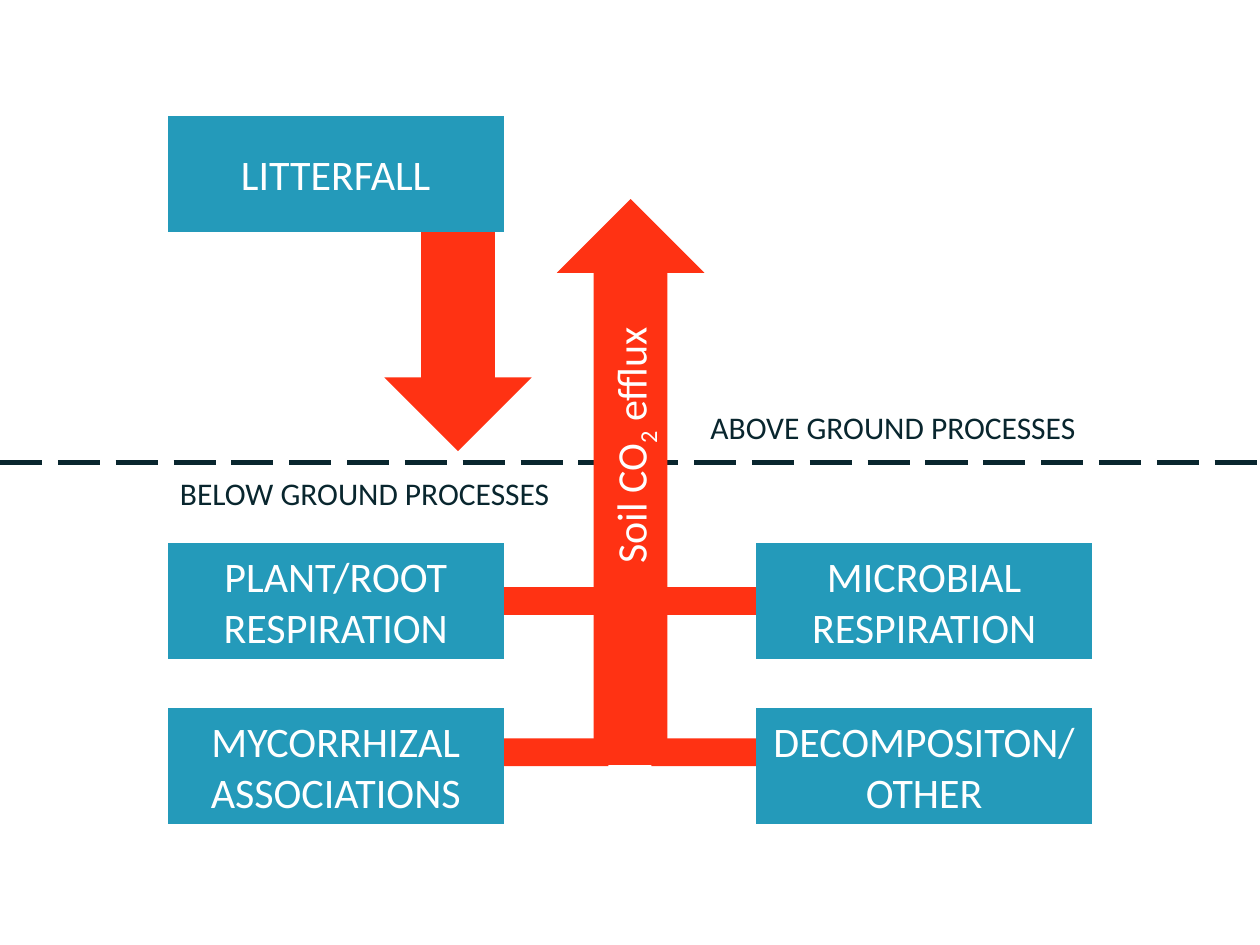
"""Build a slide on the processes behind soil CO2 efflux."""
from lxml import etree
from pptx import Presentation
from pptx.dml import color as dml_color
from pptx.enum import dml, shapes, text
from pptx.oxml import ns
from pptx.util import Inches, Pt

COLORS = {"ground": "09262E", "flow": "FF3213", "process": "249ABA", "light": "FFFFFF"}
KINDS = shapes.MSO_SHAPE
BOX_WIDTH, BOX_HEIGHT = 2.67, 0.92
LEFT_COLUMN, RIGHT_COLUMN = 1.33, 6
UPPER_ROW, LOWER_ROW = 4.31, 5.62
BAR_HEIGHT = 0.22


def rgb(name):
    return dml_color.RGBColor.from_string(COLORS[name])


def apply_format(target, values):
    for name, value in values.items():
        setattr(target, name, value)


def add_runs(paragraph, parts, size, color):
    for wording, baseline in parts:
        run = paragraph.add_run()
        run.text = wording
        apply_format(run.font, {"name": "Calibri", "size": Pt(size)})
        run.font.color.rgb = rgb(color)
        if baseline:
            run._r.get_or_add_rPr().set("baseline", str(baseline * 1000))


def add_block(slide, kind, color, left, top, width, height, rotation=0):
    shape = slide.shapes.add_shape(
        kind, Inches(left), Inches(top), Inches(width), Inches(height))
    shape.rotation = rotation
    shape.shadow.inherit = False
    shape.fill.solid()
    shape.fill.fore_color.rgb = rgb(color)
    shape.line.fill.background()
    return shape


def add_process(slide, wording, left, top):
    shape = add_block(slide, KINDS.FLOWCHART_PROCESS, "process",
                      left, top, BOX_WIDTH, BOX_HEIGHT)
    frame = shape.text_frame
    apply_format(frame, {"word_wrap": True, "vertical_anchor": text.MSO_ANCHOR.MIDDLE})
    for index, line in enumerate(wording.split("\n")):
        paragraph = frame.add_paragraph() if index else frame.paragraphs[0]
        paragraph.alignment = text.PP_ALIGN.CENTER
        add_runs(paragraph, [(line, 0)], 24, "light")


def add_label(slide, parts, size, color, left, top, width, height, rotation=0):
    box = slide.shapes.add_textbox(
        Inches(left), Inches(top), Inches(width), Inches(height))
    box.rotation = rotation
    apply_format(box.text_frame, {
        "word_wrap": False, "auto_size": text.MSO_AUTO_SIZE.SHAPE_TO_FIT_TEXT})
    add_runs(box.text_frame.paragraphs[0], parts, size, color)


def add_ground_line(slide, top, width):
    line = slide.shapes.add_connector(
        shapes.MSO_CONNECTOR.STRAIGHT, 0, Inches(top), Inches(width), Inches(top))
    line.line.color.rgb = rgb("ground")
    apply_format(line.line, {
        "width": Pt(3), "dash_style": dml.MSO_LINE_DASH_STYLE.LONG_DASH})
    etree.SubElement(line._element.spPr, ns.qn("a:effectLst"))


def main():
    presentation = Presentation()
    apply_format(presentation, {"slide_width": Inches(10), "slide_height": Inches(7.5)})
    slide = presentation.slides.add_slide(presentation.slide_layouts[6])

    add_ground_line(slide, 3.67, 10)
    add_block(slide, KINDS.UP_ARROW, "flow", 4.42, 1.58, 1.17, 4.49)
    for left, top, width in ((5.17, 5.86, 0.83), (4, 5.86, 0.83),
                             (5.14, 4.66, 0.86), (3.83, 4.66, 1.03)):
        add_block(slide, KINDS.RECTANGLE, "flow", left, top, width, BAR_HEIGHT)

    for wording, left, top in (
            ("MICROBIAL RESPIRATION", RIGHT_COLUMN, UPPER_ROW),
            ("DECOMPOSITON/\nOTHER", RIGHT_COLUMN, LOWER_ROW),
            ("MYCORRHIZAL ASSOCIATIONS", LEFT_COLUMN, LOWER_ROW),
            ("PLANT/ROOT RESPIRATION", LEFT_COLUMN, UPPER_ROW)):
        add_process(slide, wording, left, top)

    add_label(slide, [("Soil CO", 0), ("2", -25), (" efflux", 0)], 24, "light",
              3.94, 3.26, 2.12, 0.5, rotation=270)
    add_label(slide, [("BELOW GROUND PROCESSES", 0)], 18, "ground", 1.33, 3.71, 3.16, 0.4)
    add_label(slide, [("ABOVE GROUND PROCESSES", 0)], 18, "ground", 5.54, 3.19, 3.12, 0.4)

    add_block(slide, KINDS.UP_ARROW, "flow", 3.05, 1.33, 1.17, 2.25, rotation=180)
    add_process(slide, "LITTERFALL", LEFT_COLUMN, 0.92)
    presentation.save("out.pptx")


main()
